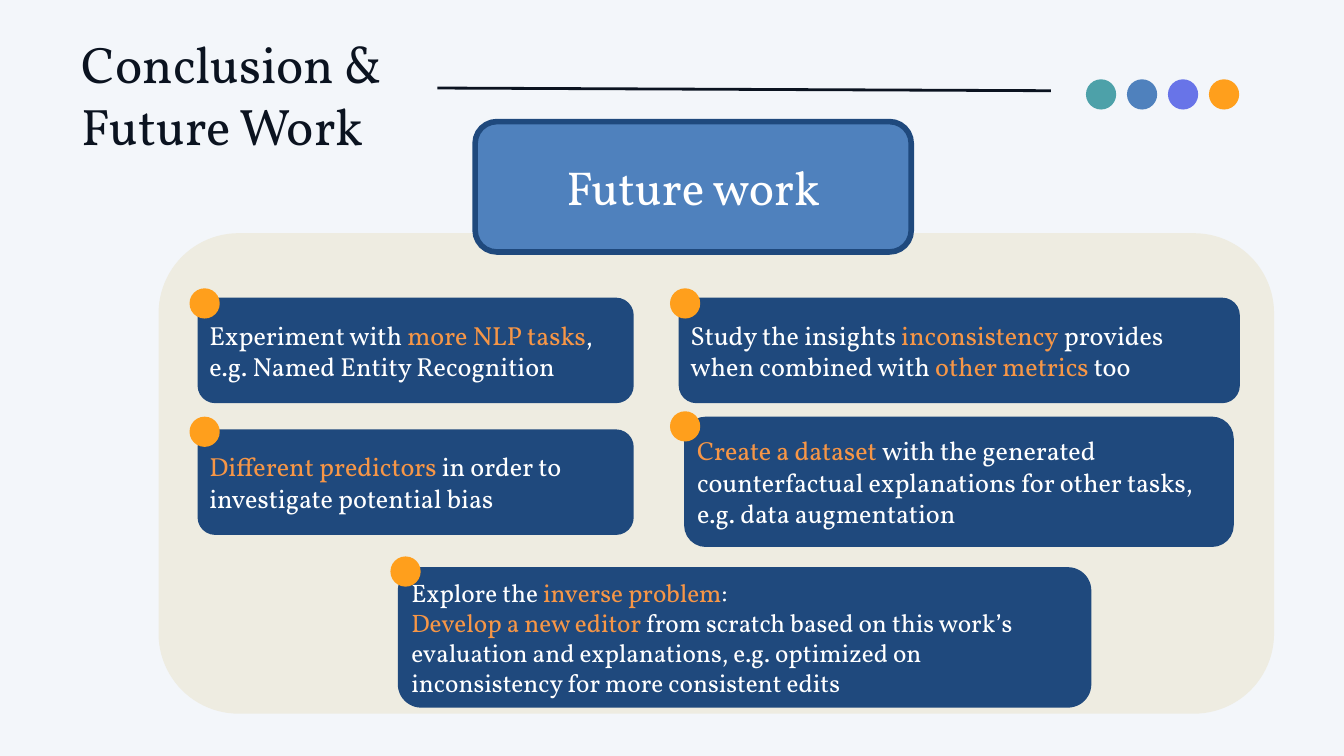
from pptx import Presentation
from pptx.dml.color import RGBColor
from pptx.enum.shapes import MSO_CONNECTOR, MSO_SHAPE
from pptx.enum.text import MSO_ANCHOR, MSO_AUTO_SIZE, PP_ALIGN
from pptx.oxml.ns import qn
from pptx.util import Inches, Pt
from lxml.etree import SubElement

FONT = "Vollkorn"
PAPER = RGBColor(0xF3, 0xF6, 0xFA)
INK = RGBColor(0x0B, 0x13, 0x20)
WHITE = RGBColor(0xFF, 0xFF, 0xFF)
SAND = RGBColor(0xEE, 0xEC, 0xE1)
BLUE = RGBColor(0x4F, 0x81, 0xBD)
NAVY = RGBColor(0x1F, 0x49, 0x7D)
TEAL = RGBColor(0x4D, 0xA1, 0xA9)
VIOLET = RGBColor(0x68, 0x74, 0xE8)
AMBER = RGBColor(0xFF, 0x9F, 0x1C)
ORANGE = RGBColor(0xF7, 0x96, 0x46)

TITLE = "Conclusion & Future Work"
HEADING = "Future work"

# box (left, top, width, height), dot (left, top), text size, runs (text, highlighted)
CARDS = [
    ((2.94, 4.43, 6.49, 1.57), (2.82, 4.29), 28, [
        ("Experiment with ", False), ("more NLP tasks", True),
        (", e.g. Named Entity Recognition", False)]),
    ((10.1, 4.43, 8.35, 1.57), (9.97, 4.29), 28, [
        ("Study the insights ", False), ("inconsistency", True),
        (" provides when combined with ", False), ("other metrics", True),
        (" too", False)]),
    ((2.94, 6.39, 6.49, 1.57), (2.82, 6.2), 28, [
        ("Different predictors", True),
        (" in order to investigate potential bias", False)]),
    ((10.18, 6.2, 8.18, 1.94), (9.97, 6.12), 28, [
        ("Create a dataset ", True),
        ("with the generated counterfactual explanations for other tasks, "
         "e.g. data augmentation", False)]),
    ((5.92, 8.44, 10.32, 2.09), (5.81, 8.28), 27, [
        ("Explore the ", False), ("inverse problem", True), (":\n", False),
        ("Develop a new editor", True),
        (" from scratch based on this work’s\n"
         "evaluation and explanations, e.g. optimized on\n"
         "inconsistency for more consistent edits", False)]),
]
HEADER_DOTS = [TEAL, BLUE, VIOLET, AMBER]
DOT_SIZE, DOT_PITCH = 0.45, 0.61


def add_filled(s, kind, box, fill):
    sp = s.shapes.add_shape(kind, *map(Inches, box))
    sp.shadow.inherit = False
    sp.fill.solid()
    sp.fill.fore_color.rgb = fill
    sp.line.fill.background()
    return sp


def add_dot(s, left, top, fill):
    add_filled(s, MSO_SHAPE.OVAL, (left, top, DOT_SIZE, DOT_SIZE), fill)


def set_frame(sp, inset, anchor):
    tf = sp.text_frame
    tf.word_wrap = True
    tf.auto_size = MSO_AUTO_SIZE.NONE
    tf.vertical_anchor = anchor
    tf.margin_left = tf.margin_right = Inches(inset)
    tf.margin_top = tf.margin_bottom = Inches(inset)
    return tf


def style(p, size, color, align=PP_ALIGN.LEFT):
    p.alignment = align
    p.font.name = FONT
    p.font.size = Pt(size)
    p.font.color.rgb = color


def add_header(s):
    title = s.shapes.title
    title.left, title.top, title.width, title.height = map(
        Inches, (1.22, 0.48, 6.3, 1.85))
    tf = set_frame(title, 0, MSO_ANCHOR.TOP)
    tf.text = TITLE
    style(tf.paragraphs[0], 55, INK)

    rule = s.shapes.add_connector(
        MSO_CONNECTOR.STRAIGHT, *map(Inches, (6.51, 1.31, 15.64, 1.35)))
    rule.line.color.rgb = INK
    rule.line.width = Pt(3)
    SubElement(rule._element.spPr, qn("a:effectLst"))

    for i, color in enumerate(HEADER_DOTS):
        add_dot(s, 16.16 + i * DOT_PITCH, 1.18, color)


def add_heading(s):
    sp = add_filled(s, MSO_SHAPE.ROUNDED_RECTANGLE, (7.07, 1.81, 6.49, 1.94), BLUE)
    sp.line.color.rgb = NAVY
    sp.line.width = Pt(6)
    tf = set_frame(sp, 0.1, MSO_ANCHOR.MIDDLE)
    tf.text = HEADING
    style(tf.paragraphs[0], 51, WHITE, PP_ALIGN.CENTER)


def add_card(s, box, size, runs):
    sp = add_filled(s, MSO_SHAPE.ROUNDED_RECTANGLE, box, NAVY)
    p = set_frame(sp, 0.1, MSO_ANCHOR.MIDDLE).paragraphs[0]
    style(p, size, WHITE)
    for text, highlighted in runs:
        for i, line in enumerate(text.split("\n")):
            if i:
                p.add_line_break()
            if line:
                r = p.add_run()
                r.text = line
                if highlighted:
                    r.font.color.rgb = ORANGE


def main():
    prs = Presentation()
    prs.slide_width, prs.slide_height = Inches(20), Inches(11.25)
    s = prs.slides.add_slide(prs.slide_layouts[5])
    s.background.fill.solid()
    s.background.fill.fore_color.rgb = PAPER

    add_header(s)
    add_filled(s, MSO_SHAPE.ROUNDED_RECTANGLE, (2.36, 3.47, 16.6, 7.15), SAND)
    add_heading(s)
    for box, dot, size, runs in CARDS:
        add_card(s, box, size, runs)
        add_dot(s, *dot, AMBER)
    prs.save("out.pptx")


if __name__ == "__main__":
    main()
